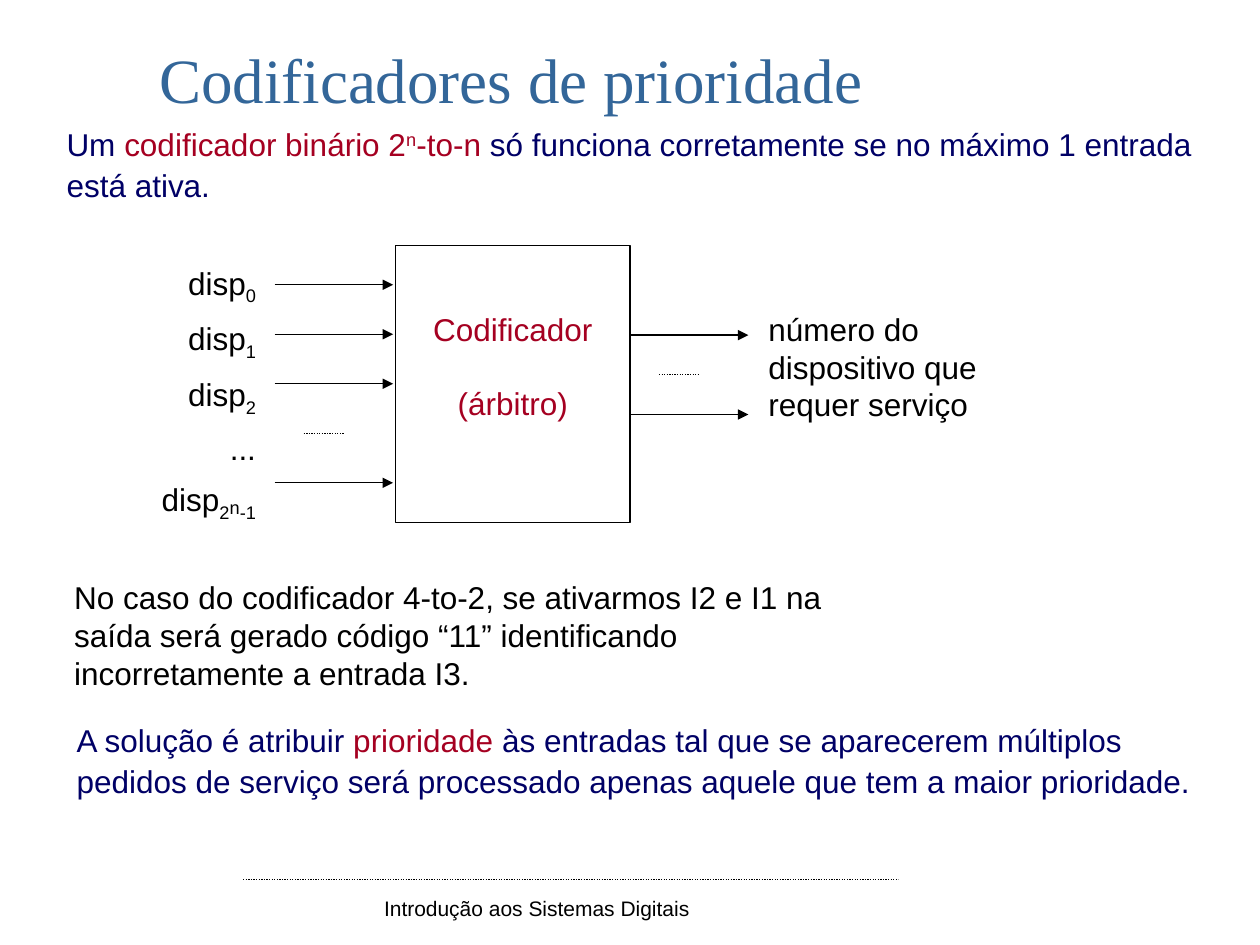
import pptx
import pptx.util
import pptx.dml.color
import pptx.enum.dml
import pptx.enum.shapes
import pptx.enum.text
import pptx.oxml.ns
from lxml import etree

COLORS = {"black": "000000", "white": "FFFFFF", "navy": "000066",
          "red": "A50021", "blue": "336699"}
COLS, ROWS = 100, 75
WIDE, HIGH = pptx.util.Inches(10), pptx.util.Inches(7.5)
ALIGN = pptx.enum.text.PP_ALIGN
SIZE = pptx.enum.text.MSO_AUTO_SIZE


def col(n):
    """Return the length of n grid columns."""
    return round(WIDE * n / COLS)


def row(n):
    """Return the length of n grid rows."""
    return round(HIGH * n / ROWS)


def area(x, y, w, h):
    """Return a grid area as slide lengths."""
    return col(x), row(y), col(w), row(h)


def tint(name):
    """Return a named color."""
    return pptx.dml.color.RGBColor.from_string(COLORS[name])


def write(frame, paras, color="black", size=18, face="Arial",
          align=ALIGN.LEFT, lines=None, gap=0):
    """Fill a frame with paragraphs of (text, color, baseline) runs."""
    for n, runs in enumerate(paras):
        para = frame.add_paragraph() if n else frame.paragraphs[0]
        para.alignment = align
        if lines:
            para.line_spacing = lines
        if n and gap:
            para.space_before = pptx.util.Pt(gap)
        para.font.size = pptx.util.Pt(size)
        para.font.name = face
        hues = {hue or color for _, hue, _ in runs}
        if len(hues) == 1:
            para.font.color.rgb = tint(hues.pop())
        for text, hue, base in runs:
            run = para.add_run()
            run.text = text
            if len({h for _, h, _ in runs}) > 1:
                run.font.color.rgb = tint(hue or color)
            if base:
                run._r.get_or_add_rPr().set("baseline", str(base * 1000))


def plain(text):
    """Return a paragraph with one plain run."""
    return [(text, None, 0)]


def label(shapes, place, paras, wrap=True, grow=True, **style):
    """Add a text box and return its frame."""
    frame = shapes.add_textbox(*area(*place)).text_frame
    frame.word_wrap = wrap
    frame.auto_size = SIZE.SHAPE_TO_FIT_TEXT if grow else SIZE.NONE
    write(frame, paras, **style)
    return frame


def rule(shapes, x, y, w, arrow=False):
    """Add a level line, either an arrow or dotted."""
    line = shapes.add_connector(pptx.enum.shapes.MSO_CONNECTOR.STRAIGHT,
                                col(x), row(y), col(x + w), row(y))
    line.line.color.rgb = tint("black")
    line.line.width = pptx.util.Pt(0.75)
    qn = pptx.oxml.ns.qn
    if arrow:
        etree.SubElement(line.line._get_or_add_ln(), qn("a:tailEnd"),
                         type="triangle")
    else:
        line.line.dash_style = pptx.enum.dml.MSO_LINE.ROUND_DOT
    etree.SubElement(line._element.spPr, qn("a:effectLst"))


def block(shapes, place, paras, **style):
    """Add the outlined encoder block."""
    box = shapes.add_shape(pptx.enum.shapes.MSO_SHAPE.RECTANGLE, *area(*place))
    box.shadow.inherit = False
    box.fill.solid()
    box.fill.fore_color.rgb = tint("white")
    box.line.color.rgb = tint("black")
    box.line.width = pptx.util.Pt(0.75)
    frame = box.text_frame
    frame.word_wrap = False
    frame.vertical_anchor = pptx.enum.text.MSO_ANCHOR.MIDDLE
    frame.margin_bottom = row(3.4)
    write(frame, paras, align=ALIGN.CENTER, **style)


def diagram(shapes):
    """Draw the encoder with its inputs and outputs."""
    block(shapes, (31.4, 19.5, 18.6, 22),
          [plain("Codificador"), plain("(árbitro)")], color="red", gap=20.7)
    for y in (26.6, 32.9):
        rule(shapes, 50, y, 9.4, arrow=True)
    rule(shapes, 52.3, 29.7, 3.2)
    for step in (0, 1, 2, 4):
        rule(shapes, 21.8, 22.6 + 3.93 * step, 9.4, arrow=True)
    rule(shapes, 24.1, 34.4, 3.2)
    names = [[("disp", None, 0), (str(n), None, -25)] for n in range(3)]
    names += [plain("..."), [("disp", None, 0), ("2", None, -25),
                             ("n", None, -10), ("-1", None, -25)]]
    label(shapes, (11.4, 19.4, 9.9, 20.5), names, wrap=False,
          align=ALIGN.RIGHT, lines=1.3)
    label(shapes, (60, 24.1, 21.5, 10),
          [plain("número do dispositivo que requer serviço")])


def main():
    """Build and save the slide."""
    deck = pptx.Presentation()
    deck.slide_width, deck.slide_height = WIDE, HIGH
    shapes = deck.slides.add_slide(deck.slide_layouts[6]).shapes
    rule(shapes, 19.3, 69.8, 52)
    label(shapes, (29.5, 70.6, 27.6, 3),
          [plain("Introdução aos Sistemas Digitais")], size=12)
    title = label(shapes, (5.1, 2.1, 70.9, 5.5),
                  [plain("Codificadores de prioridade")], wrap=False,
                  grow=False, color="blue", size=36, face="Times New Roman",
                  align=ALIGN.CENTER)
    title.margin_top = row(1.1)
    label(shapes, (4.3, 9.1, 92.4, 7.6), [[
        ("Um ", None, 0), ("codificador binário 2", "red", 0),
        ("n", "red", 30), ("-to-n", "red", 0),
        (" só funciona corretamente se no máximo 1 entrada está ativa.",
         None, 0)]], color="navy", lines=1.1)
    label(shapes, (5.1, 56.4, 91.3, 7.6), [[
        ("A solução é atribuir ", None, 0), ("prioridade", "red", 0),
        (" às entradas tal que se aparecerem múltiplos pedidos de serviço "
         "será processado apenas aquele que tem a maior prioridade.",
         None, 0)]], color="navy", lines=1.1)
    diagram(shapes.add_group_shape().shapes)
    label(shapes, (4.9, 45.4, 61.6, 10), [plain(
        "No caso do codificador 4-to-2, se ativarmos I2 e I1 na saída será "
        "gerado código “11” identificando incorretamente a entrada I3.")])
    deck.save("out.pptx")


if __name__ == "__main__":
    main()
